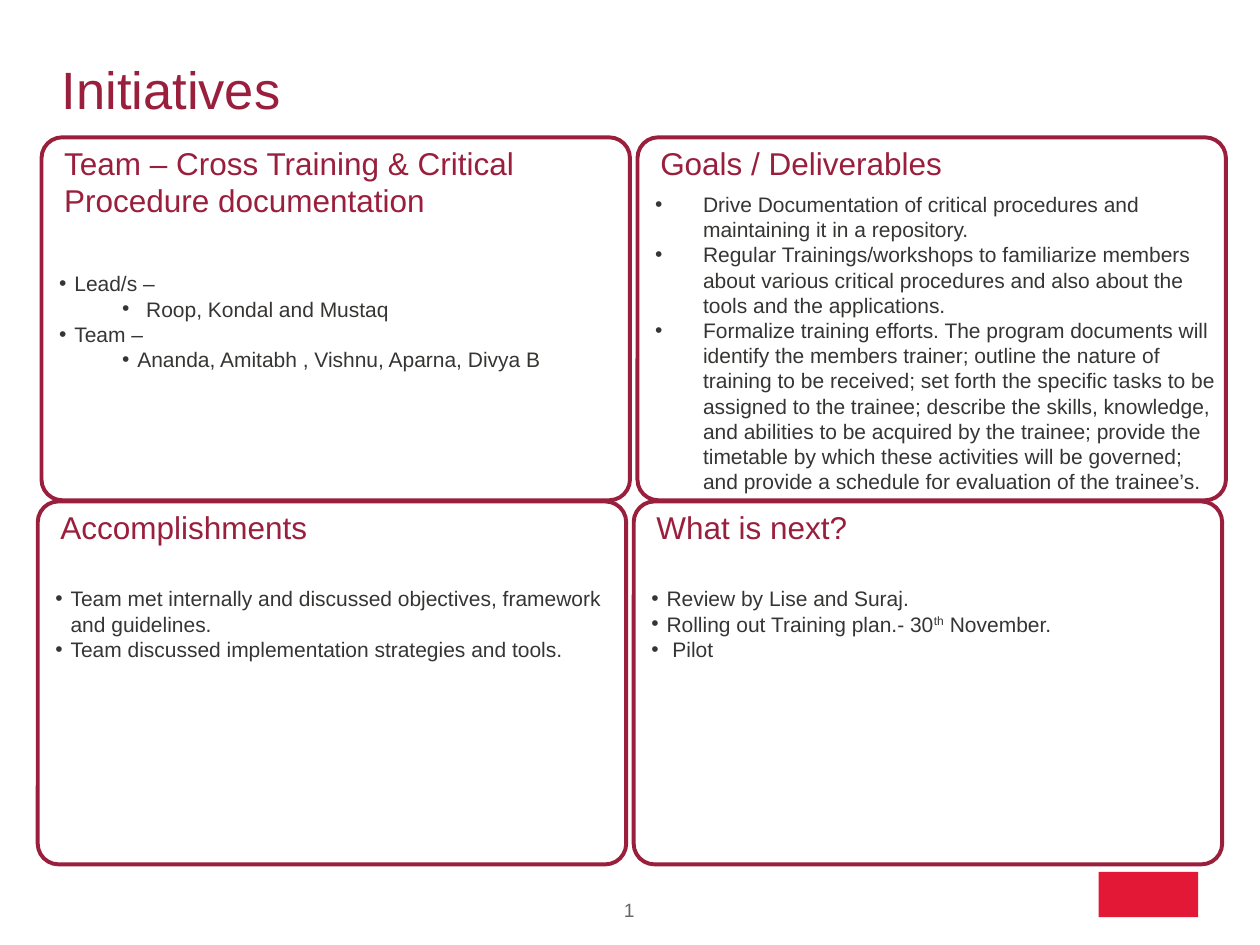
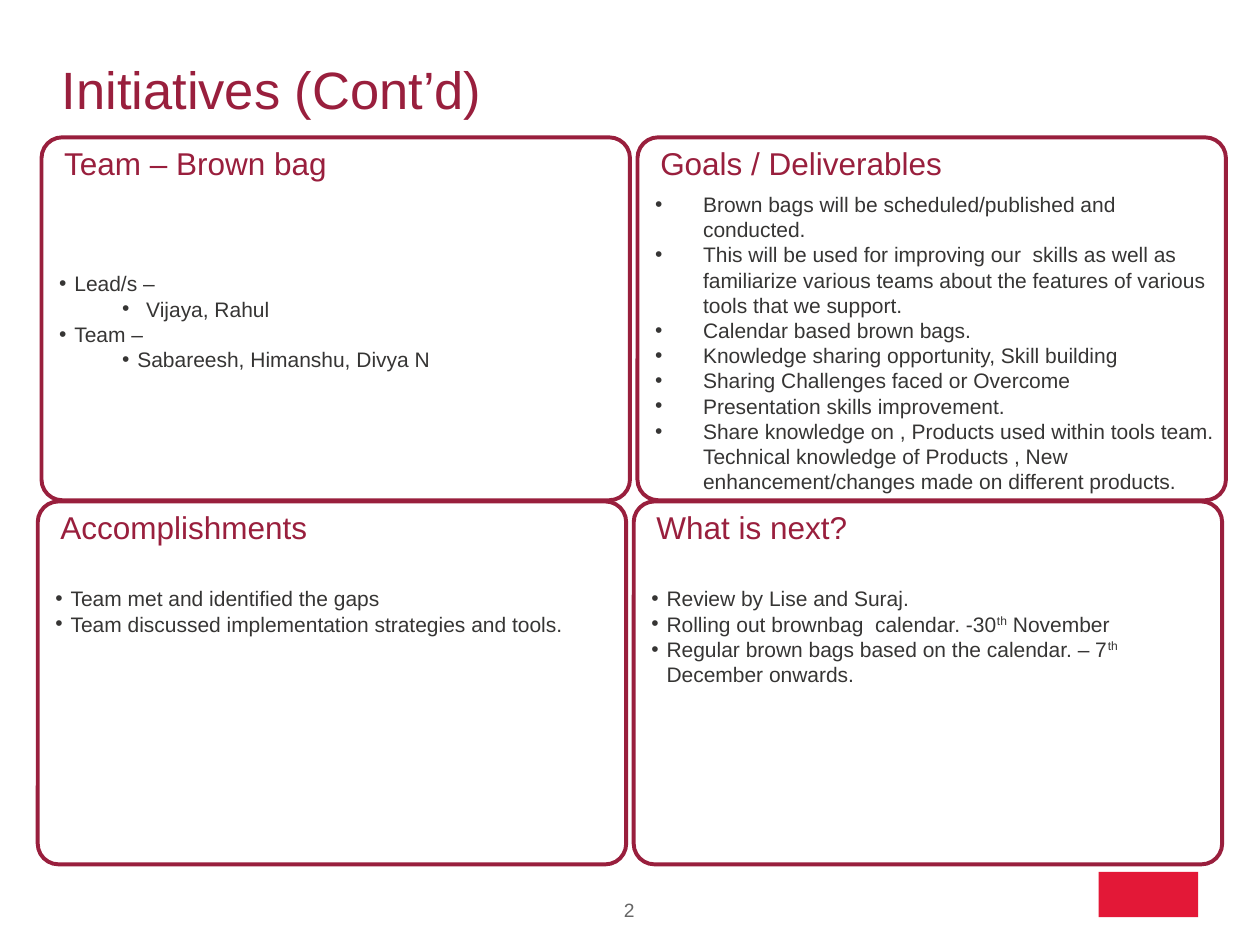
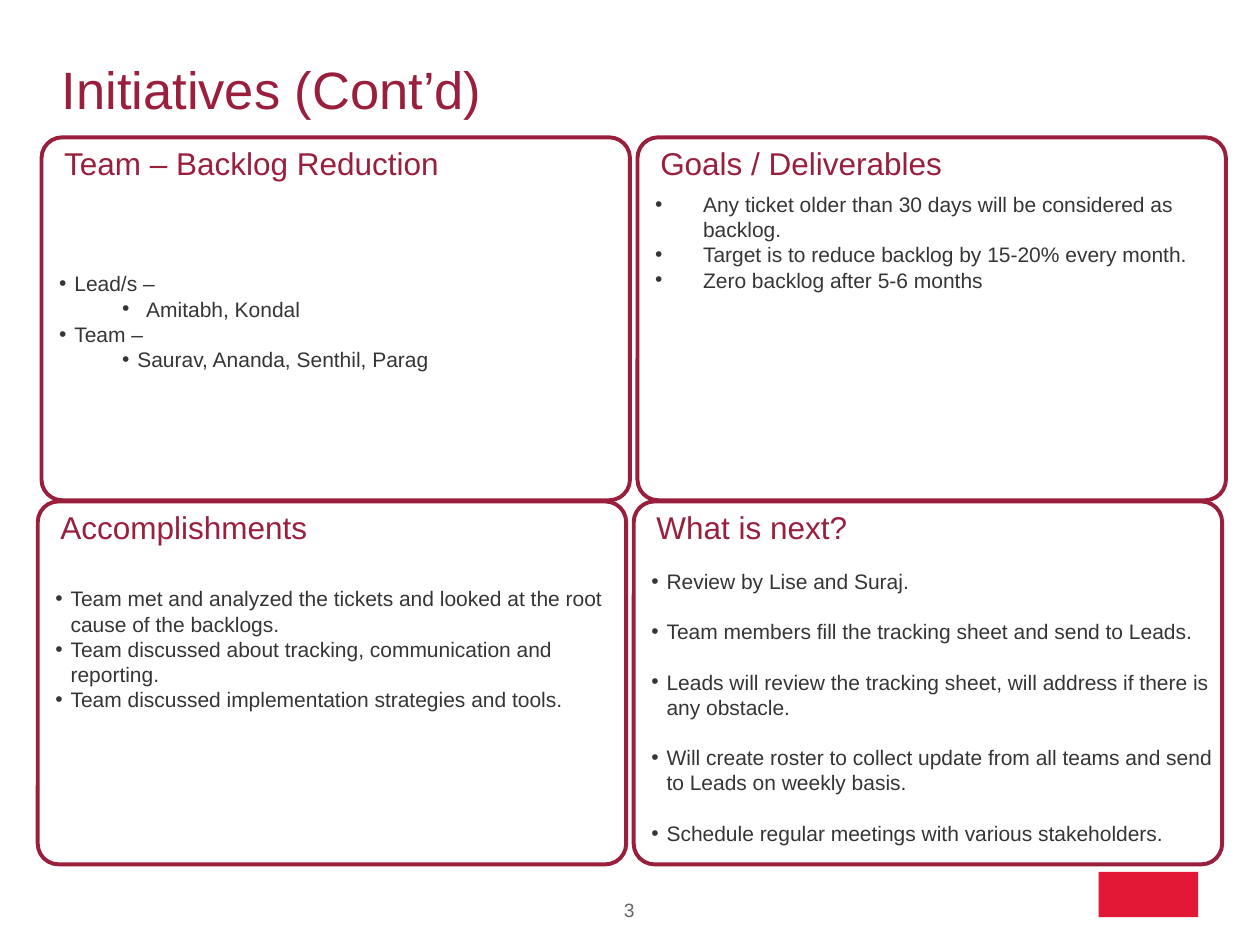
from copy import deepcopy
from dataclasses import dataclass

from lxml import etree
from pptx import Presentation
from pptx.dml.color import RGBColor
from pptx.enum import shapes, text
from pptx.oxml import ns
from pptx.util import Inches, Pt


@dataclass(frozen=True)
class Theme:
    font: str = "Arial"
    burgundy: RGBColor = RGBColor(0x99, 0x1F, 0x3D)
    body: RGBColor = RGBColor(0x36, 0x35, 0x34)
    grey: RGBColor = RGBColor(0x66, 0x66, 0x66)
    red: RGBColor = RGBColor(0xE3, 0x18, 0x37)
    white: RGBColor = RGBColor(0xFF, 0xFF, 0xFF)
    title_size: int = 30
    heading_size: int = 18
    list_size: int = 12
    number_size: int = 11
    line_spacing: float = 1.0


@dataclass(frozen=True)
class Indent:
    margin: float
    hanging: float
    level: int = 0


@dataclass(frozen=True)
class Bullet:
    words: str  # parts between carets are superscript
    indent: Indent


@dataclass(frozen=True)
class Panel:
    """One quadrant: its place and the placeholders that fill it."""
    left: float
    top: float
    list_top: float
    heading_idx: int
    list_idx: int


@dataclass(frozen=True)
class Section:
    heading: str
    bullets: list[Bullet]
    heading_lines: int = 1
    list_lines: int = 2
    gap: float = 0  # points between bullets
    lift: float = 0  # inches the list sits higher than usual


@dataclass(frozen=True)
class Initiative:
    title: str
    sections: list[Section]


THEME = Theme()
TIGHT = Indent(0.12, 0.12)
WIDE = Indent(0.38, 0.38)
LEADS = Indent(0.69, 0.19, 1)
MEMBERS = Indent(0.62, 0.12, 2)

PANEL_WIDTH, PANEL_HEIGHT, COLUMN_STEP = 4.67, 2.88, 4.73
COPY_OFFSET = 20  # index shift of the placeholders for the lower row
TOP_LEFT, LOW_LEFT, TOP_ROW, LOW_ROW = 0.33, 0.3, 1.09, 3.98
PANELS = [
    Panel(TOP_LEFT, TOP_ROW, 2.1, 1, 2),
    Panel(TOP_LEFT + COLUMN_STEP, TOP_ROW, 1.47, 3, 4),
    Panel(LOW_LEFT, LOW_ROW, 4.6, 1 + COPY_OFFSET, 2 + COPY_OFFSET),
    Panel(LOW_LEFT + COLUMN_STEP, LOW_ROW, 4.6, 3 + COPY_OFFSET, 4 + COPY_OFFSET),
]


# Content helpers
def team(name: str, leads: str, members: str, heading_lines: int = 1) -> Section:
    return Section(f"Team – {name}", [
        Bullet("Lead/s – ", TIGHT), Bullet(leads, LEADS),
        Bullet("Team –", TIGHT), Bullet(members, MEMBERS),
    ], heading_lines, 4)


def goals(lines: int, *items: str) -> Section:
    return Section("Goals / Deliverables", [Bullet(i, WIDE) for i in items], list_lines=lines)


def accomplishments(lines: int, *items: str) -> Section:
    return Section("Accomplishments", [Bullet(i, TIGHT) for i in items], list_lines=lines)


def following(lines: int, *items: str, gap: float = 0, lift: float = 0) -> Section:
    bullets = [Bullet(i, TIGHT) for i in ("Review by Lise and Suraj.", *items)]
    return Section("What is next?", bullets, list_lines=lines, gap=gap, lift=lift)


STRATEGIES = "Team discussed implementation strategies and tools."
INITIATIVES = [
    Initiative("Initiatives", [
        team("Cross Training & Critical Procedure documentation",
             "Roop, Kondal and Mustaq", "Ananda, Amitabh , Vishnu, Aparna, Divya B", 2),
        goals(12,
              "Drive Documentation of critical procedures and maintaining it in a repository.",
              "Regular Trainings/workshops to familiarize members about various critical "
              "procedures and also about the tools and the applications.",
              "Formalize training efforts. The program documents will identify the members "
              "trainer; outline the nature of training to be received; set forth the specific "
              "tasks to be assigned to the trainee; describe the skills, knowledge, and "
              "abilities to be acquired by the trainee; provide the timetable by which these "
              "activities will be governed; and provide a schedule for evaluation of the "
              "trainee’s."),
        accomplishments(3, "Team met internally and discussed objectives, framework and "
                        "guidelines.", STRATEGIES),
        following(3, "Rolling out Training plan.- 30^th^ November.", " Pilot"),
    ]),
    Initiative("Initiatives (Cont’d)", [
        team("Brown bag", "Vijaya, Rahul", "Sabareesh, Himanshu, Divya N"),
        goals(12,
              "Brown bags will be scheduled/published and conducted.",
              "This will be used for improving our  skills as well as familiarize various "
              "teams about the features of various tools that we support.",
              "Calendar based brown bags.",
              "Knowledge sharing opportunity, Skill building",
              "Sharing Challenges faced or Overcome",
              "Presentation skills improvement.",
              "Share knowledge on , Products used within tools team. Technical knowledge of "
              "Products , New enhancement/changes made on different products."),
        accomplishments(2, "Team met and identified the gaps", STRATEGIES),
        following(4, "Rolling out brownbag  calendar. -30^th^ November",
                  "Regular brown bags based on the calendar. – 7^th^ December onwards."),
    ]),
    Initiative("Initiatives (Cont’d)", [
        team("Backlog Reduction", "Amitabh, Kondal", "Saurav, Ananda, Senthil, Parag"),
        goals(4,
              "Any ticket older than 30 days will be considered as backlog.",
              "Target is to reduce backlog by 15-20% every month.",
              "Zero backlog after 5-6 months"),
        accomplishments(5,
                        "Team met and analyzed the tickets and looked at the root cause of "
                        "the backlogs.",
                        "Team discussed about tracking, communication and reporting.",
                        STRATEGIES),
        following(11,
                  "Team members fill the tracking sheet and send to Leads.",
                  "Leads will review the tracking sheet, will address if there is any obstacle.",
                  "Will create roster to collect update from all teams and send to Leads on "
                  "weekly basis.",
                  "Schedule regular meetings with various stakeholders.",
                  gap=14.4, lift=0.14),
    ]),
]


# Text and geometry
def place(shape, left: float, top: float, width: float, height: float) -> None:
    shape.left, shape.top = Inches(left), Inches(top)
    shape.width, shape.height = Inches(width), Inches(height)


def style(font, size: int, color: RGBColor) -> None:
    font.name, font.size, font.bold = THEME.font, Pt(size), False
    font.color.rgb = color


def add_runs(paragraph, words: str, size: int, color: RGBColor) -> None:
    for position, part in enumerate(words.split("^")):
        run = paragraph.add_run()
        run.text = part
        style(run.font, size, color)
        if position % 2:
            run.font._element.set("baseline", "30000")


def format_paragraph(paragraph, indent: Indent, bulleted: bool, gap: float = 0) -> None:
    paragraph.level = indent.level
    paragraph.alignment = text.PP_ALIGN.LEFT
    paragraph.line_spacing = THEME.line_spacing
    paragraph.space_before, paragraph.space_after = Pt(0), Pt(gap)
    props = paragraph._p.get_or_add_pPr()
    props.set("marL", str(Inches(indent.margin)))
    props.set("indent", str(-Inches(indent.hanging)))
    if bulleted:
        etree.SubElement(props, ns.qn("a:buFont"), typeface=THEME.font)
        etree.SubElement(props, ns.qn("a:buChar"), char="•")
    else:
        etree.SubElement(props, ns.qn("a:buNone"))


def prepare_frame(shape, anchor=text.MSO_ANCHOR.TOP, inset: bool = True):
    frame = shape.text_frame
    frame.word_wrap = True
    frame.auto_size = text.MSO_AUTO_SIZE.NONE
    frame.vertical_anchor = anchor
    side, end = (Inches(0.1), Inches(0.05)) if inset else (0, 0)
    frame.margin_left = frame.margin_right = side
    frame.margin_top = frame.margin_bottom = end
    return frame


def add_plain_shape(slide, preset, box: tuple, fill: RGBColor):
    shape = slide.shapes.add_shape(preset, *(Inches(length) for length in box))
    shape.shadow.inherit = False
    shape.fill.solid()
    shape.fill.fore_color.rgb = fill
    shape.line.fill.background()
    return shape


# Slide parts
def four_panel_layout(deck):
    """Give the comparison layout a second row of heading and list placeholders."""
    layout = deck.slide_layouts[4]
    upper_row = [p for p in layout.placeholders if 1 <= p.placeholder_format.idx <= 4]
    for placeholder in upper_row:
        lower = deepcopy(placeholder.element)
        lower.ph.idx += COPY_OFFSET
        lower.nvSpPr.cNvPr.set("id", str(placeholder.shape_id + COPY_OFFSET))
        placeholder.element.getparent().append(lower)
    return layout


def draw_title(slide, words: str) -> None:
    title = slide.shapes.title
    place(title, 0.49, 0.2, 9.01, 1.01)
    frame = prepare_frame(title, text.MSO_ANCHOR.MIDDLE, inset=False)
    frame.paragraphs[0].alignment = text.PP_ALIGN.LEFT
    add_runs(frame.paragraphs[0], words, THEME.title_size, THEME.burgundy)


def draw_panel(slide, panel: Panel, section: Section) -> None:
    border = add_plain_shape(slide, shapes.MSO_SHAPE.ROUNDED_RECTANGLE,
                             (panel.left, panel.top, PANEL_WIDTH, PANEL_HEIGHT), THEME.white)
    border.adjustments[0] = 0.057
    border.line.color.rgb = THEME.burgundy
    border.line.width = Pt(2.25)

    heading = slide.placeholders[panel.heading_idx]
    points = slide.placeholders[panel.list_idx]
    for part in (heading, points):  # bring in front of the border
        border.element.getparent().append(part.element)

    place(heading, panel.left + 0.08, panel.top, 4.58, 0.1 + 0.3 * section.heading_lines)
    paragraph = prepare_frame(heading).paragraphs[0]
    format_paragraph(paragraph, Indent(0, 0), bulleted=False)
    add_runs(paragraph, section.heading, THEME.heading_size, THEME.burgundy)

    place(points, panel.left + 0.04, panel.list_top - section.lift,
          4.68, 0.1 + 0.2 * section.list_lines)
    frame = prepare_frame(points)
    for position, bullet in enumerate(section.bullets):
        paragraph = frame.add_paragraph() if position else frame.paragraphs[0]
        format_paragraph(paragraph, bullet.indent, True, section.gap)
        add_runs(paragraph, bullet.words, THEME.list_size, THEME.body)


def draw_footer(slide, number: int) -> None:
    # Plain block in the brand corner
    add_plain_shape(slide, shapes.MSO_SHAPE.RECTANGLE, (8.72, 6.92, 0.79, 0.36), THEME.red)

    # Page number as a live field
    box = slide.shapes.add_textbox(Inches(4.57), Inches(7.13), Inches(0.85), Inches(0.26))
    paragraph = prepare_frame(box, inset=False).paragraphs[0]
    paragraph.alignment = text.PP_ALIGN.CENTER
    add_runs(paragraph, str(number), THEME.number_size, THEME.grey)
    run = paragraph.runs[0]._r
    field = etree.SubElement(paragraph._p, ns.qn("a:fld"), type="slidenum",
                             id="{B6F15528-21DE-4FAA-801E-634DDDAF4B2B}")
    field.extend(list(run))
    paragraph._p.remove(run)


def main() -> None:
    deck = Presentation()
    deck.slide_width, deck.slide_height = Inches(10), Inches(7.5)
    layout = four_panel_layout(deck)
    for number, initiative in enumerate(INITIATIVES, start=1):
        slide = deck.slides.add_slide(layout)
        draw_title(slide, initiative.title)
        draw_footer(slide, number)
        for panel, section in zip(PANELS, initiative.sections):
            draw_panel(slide, panel, section)
    deck.save("out.pptx")


main()
